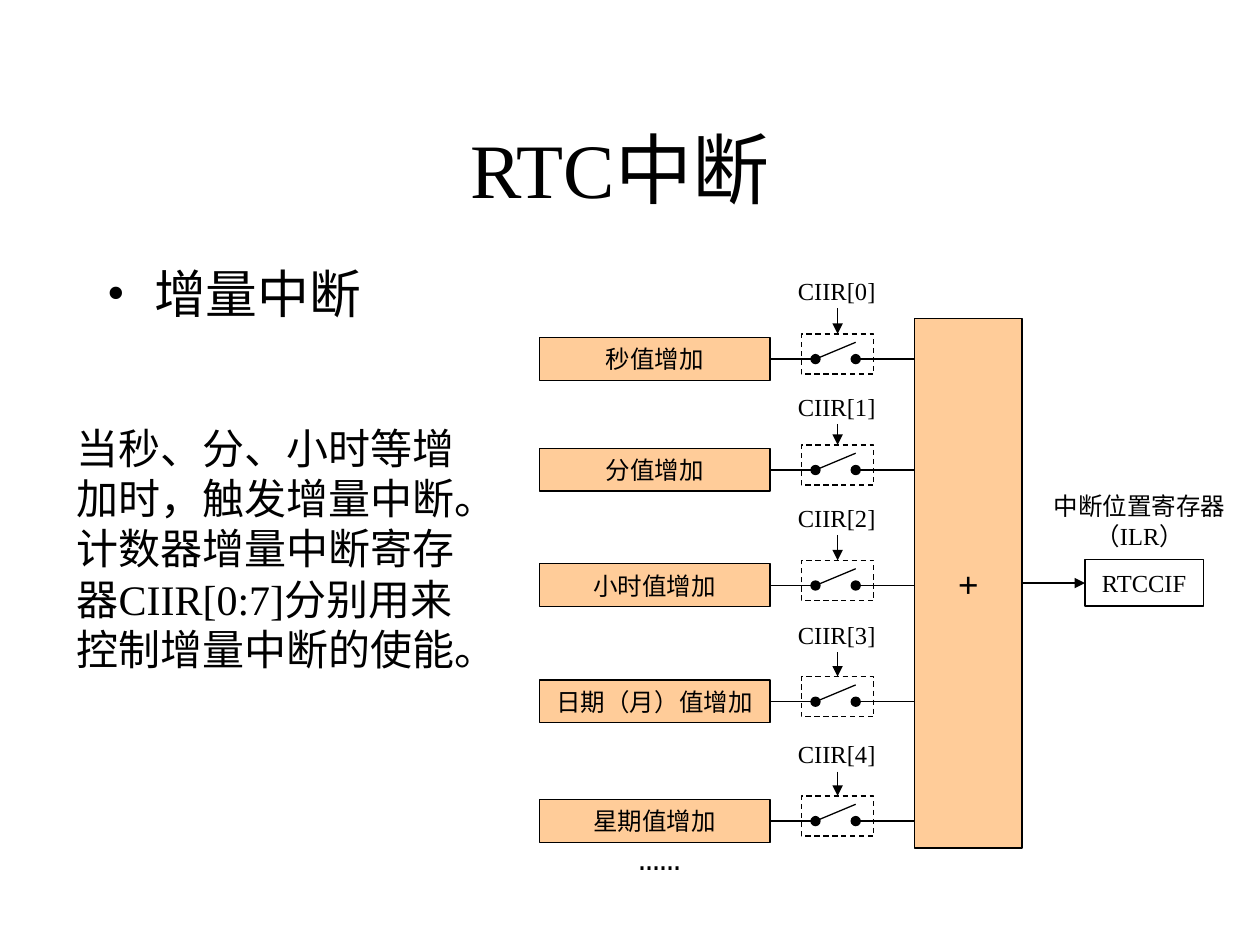
from lxml import etree
from pptx import Presentation
from pptx.dml.color import RGBColor
from pptx.enum.dml import MSO_LINE
from pptx.enum.shapes import MSO_CONNECTOR, MSO_SHAPE
from pptx.enum.text import MSO_ANCHOR, PP_ALIGN
from pptx.oxml.ns import qn
from pptx.util import Pt

CENTER, LEFT = PP_ALIGN.CENTER, PP_ALIGN.LEFT
MIDDLE, TOP = MSO_ANCHOR.MIDDLE, MSO_ANCHOR.TOP
RECTANGLE, STRAIGHT, DASH = MSO_SHAPE.RECTANGLE, MSO_CONNECTOR.STRAIGHT, MSO_LINE.DASH
COLORS = {"ink": "000000", "paper": "FFFFFF", "block": "FFCC99"}
SERIF, SANS, MONO = "Times New Roman", "Arial", "Courier New"

SOURCES = [
    ("秒值增加", 205.2, 154.1),
    ("分值增加", 268.6, 220.3),
    ("小时值增加", 334.6, 283.7),
    ("日期（月）值增加", 401, 350.6),
    ("星期值增加", 469.2, 419),
]


def color(key):
    """Return the named colour."""
    return RGBColor.from_string(COLORS[key])


def write(frame, paragraphs, size, font=SERIF, align=CENTER, anchor=TOP, wrap=True):
    """Fill a text frame, one run in each paragraph."""
    frame.word_wrap = wrap
    frame.vertical_anchor = anchor
    for index, text in enumerate(paragraphs):
        paragraph = frame.add_paragraph() if index else frame.paragraphs[0]
        paragraph.alignment = align
        run = paragraph.add_run()
        run.text = text
        run.font.size = Pt(size)
        run.font.name = font
        run.font.color.rgb = color("ink")


def add_label(slide, box, paragraphs, size, **style):
    """Place free text in the box and return its frame."""
    frame = slide.shapes.add_textbox(*map(Pt, box)).text_frame
    write(frame, paragraphs, size, **style)
    return frame


def add_block(slide, box, fill, text="", size=14, font=SANS, dash=None):
    """Place an outlined rectangle with centred text."""
    block = slide.shapes.add_shape(RECTANGLE, *map(Pt, box))
    block.shadow.inherit = False
    block.fill.solid()
    block.fill.fore_color.rgb = color(fill)
    block.line.color.rgb = color("ink")
    block.line.width = Pt(0.75)
    if dash:
        block.line.dash_style = dash
    if text:
        write(block.text_frame, [text], size, font, anchor=MIDDLE, wrap=False)


def add_wire(slide, start, end, **ends):
    """Draw a straight line with optional headEnd or tailEnd marks."""
    wire = slide.shapes.add_connector(STRAIGHT, *map(Pt, start + end))
    wire.line.color.rgb = color("ink")
    wire.line.width = Pt(0.75)
    properties = wire.element.spPr
    for tag, mark in ends.items():
        etree.SubElement(properties.find(qn("a:ln")), qn(f"a:{tag}"), type=mark)
    etree.SubElement(properties, qn("a:effectLst"))


def add_title(slide, box, text):
    """Move and format the title placeholder."""
    title = slide.shapes.title
    title.left, title.top, title.width, title.height = map(Pt, box)
    write(title.text_frame, [text], 44, anchor=MIDDLE)


def add_heading(slide, box, text):
    """Place the bulleted heading."""
    paragraph = add_label(slide, box, [text], 29.6, align=LEFT).paragraphs[0]
    paragraph.line_spacing = 0.9
    paragraph.space_before = Pt(8)
    properties = paragraph._p.get_or_add_pPr()
    properties.set("marL", str(Pt(27)))
    properties.set("indent", str(Pt(-27)))
    etree.SubElement(properties, qn("a:buFont"), typeface=SERIF)
    etree.SubElement(properties, qn("a:buChar"), char="•")


def add_switch(slide, box, wire_y, wire_left, wire_right):
    """Draw an open switch in a dashed box with its wires."""
    left, top, width, height = box
    pole, contact = left + 8, left + 31
    add_block(slide, box, "paper", dash=DASH)
    add_wire(slide, (wire_left, wire_y), (pole, wire_y), tailEnd="oval")
    add_wire(slide, (contact, wire_y), (wire_right, wire_y), headEnd="oval")
    add_wire(slide, (pole, wire_y), (contact, wire_y - 9.6))


def add_interrupt_diagram(slide, box):
    """Draw the sources, their enable switches, the adder and the flag register."""
    left, top, width, height = box
    source_right = left + 131.8
    adder_left, adder_width = left + 214.5, 61.4
    switch_left, switch_width = left + 149.8, 41.3
    switch_middle = switch_left + switch_width / 2
    for index, (source, wire_y, label_top) in enumerate(SOURCES):
        switch_top = wire_y - 14.4
        add_block(slide, (left, wire_y - 12.4, 131.8, 24.5), "block", source)
        add_switch(slide, (switch_left, switch_top, switch_width, 23),
                   wire_y, source_right, adder_left)
        add_label(slide, (switch_middle - 42.6, label_top, 84.2, 24.5),
                  [f"CIIR[{index}]"], 14)
        add_wire(slide, (switch_middle, label_top + 22),
                 (switch_middle, switch_top), tailEnd="triangle")
    add_block(slide, (adder_left, top, adder_width, height), "block", "+", 20)
    flag_left, flag_y = left + 311.8, 333.2
    add_wire(slide, (adder_left + adder_width, flag_y), (flag_left, flag_y),
             tailEnd="triangle")
    add_block(slide, (flag_left, flag_y - 13.5, 67.7, 26.6), "paper", "RTCCIF", font=SERIF)
    add_label(slide, (left + 283, 277.2, 120.2, 41), ["中断位置寄存器", "（ILR）"], 14)
    add_label(slide, (left + 49.7, 473.8, 38.2, 31.7), ["……"], 20, font=MONO, wrap=False)


def main():
    """Build and save the slide."""
    deck = Presentation()
    deck.slide_width, deck.slide_height = Pt(720), Pt(540)
    slide = deck.slides.add_slide(deck.slide_layouts[5])
    add_title(slide, (48.2, 54.7, 612, 82.8), "RTC中断")
    add_heading(slide, (54, 149.8, 229.7, 45.4), "增量中断")
    add_interrupt_diagram(slide, (308.2, 182.2, 411.8, 302.4))
    add_label(slide, (36.7, 223.2, 234.7, 180),
              ["当秒、分、小时等增加时，触发增量中断。",
               "计数器增量中断寄存器CIIR[0:7]分别用来控制增量中断的使能。"],
              24, align=LEFT, anchor=MIDDLE)
    deck.save("out.pptx")


if __name__ == "__main__":
    main()
